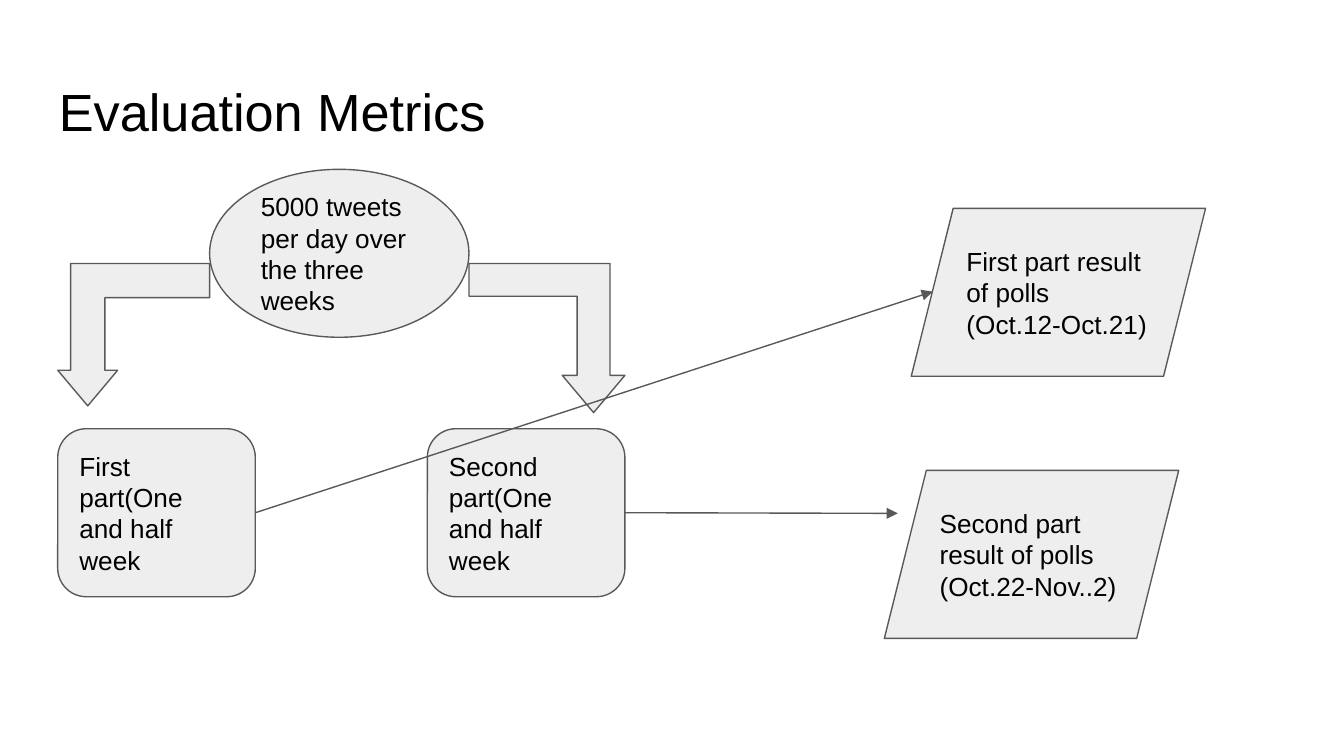
import pptx
import pptx.dml.color
import pptx.enum.shapes
import pptx.enum.text
import pptx.oxml
import pptx.oxml.ns
import pptx.util
from pptx.util import Inches

FILL, OUTLINE, INK = "EEEEEE", "595959", "000000"
SHAPE = pptx.enum.shapes.MSO_SHAPE
ANCHOR = pptx.enum.text.MSO_ANCHOR


def color(value):
    return pptx.dml.color.RGBColor.from_string(value)


def write(holder, wording, size, anchor):
    frame = holder.text_frame
    frame.word_wrap = True
    frame.vertical_anchor = anchor
    frame.margin_left = frame.margin_right = Inches(0.1)
    frame.margin_top = frame.margin_bottom = Inches(0.1)
    frame.text = wording
    paragraph = frame.paragraphs[0]
    paragraph.alignment = pptx.enum.text.PP_ALIGN.LEFT
    font = paragraph.runs[0].font
    font.name = "Arial"
    font.size = pptx.util.Pt(size)
    font.color.rgb = color(INK)


def outline(element):
    element.line.color.rgb = color(OUTLINE)
    element.line.width = pptx.util.Pt(0.75)


def add_node(slide, kind, left, top, width, height, adjustments=(), wording=None):
    node = slide.shapes.add_shape(
        kind, Inches(left), Inches(top), Inches(width), Inches(height))
    node.shadow.inherit = False
    node.fill.solid()
    node.fill.fore_color.rgb = color(FILL)
    outline(node)
    for index, value in enumerate(adjustments):
        node.adjustments[index] = value
    if wording:
        write(node, wording, 14, ANCHOR.MIDDLE)
    return node


def add_split_arrow(slide, left, width, height, thickness, mirrored=False):
    arrow = add_node(slide, SHAPE.BENT_UP_ARROW, left, 1.96, width, height,
                     (thickness, 0.21, 0.25))
    arrow.rotation = 180
    if mirrored:
        arrow._element.spPr.xfrm.set("flipH", "1")


def add_part(slide, left, ordinal):
    part = add_node(slide, SHAPE.ROUNDED_RECTANGLE, left, 3.19, 1.47, 1.25,
                    (0.17,), f"{ordinal} part(One and half week")
    part.text_frame.margin_right = Inches(0.12)
    return part


def add_link(slide, part, end_x, end_y):
    link = slide.shapes.add_connector(
        pptx.enum.shapes.MSO_CONNECTOR.STRAIGHT,
        part.left + part.width, part.top + part.height // 2,
        Inches(end_x), Inches(end_y))
    link.begin_connect(part, 3)
    outline(link)
    head = pptx.oxml.parse_xml(
        f'<a:tailEnd {pptx.oxml.ns.nsdecls("a")} type="triangle"/>')
    link.line._get_or_add_ln().append(head)
    link._element.spPr.append(pptx.oxml.parse_xml(
        f'<a:effectLst {pptx.oxml.ns.nsdecls("a")}/>'))


def main():
    deck = pptx.Presentation()
    deck.slide_width = Inches(10)
    deck.slide_height = deck.slide_width * 9 // 16
    slide = deck.slides.add_slide(deck.slide_layouts[6])

    title = slide.shapes.add_textbox(
        Inches(0.34), Inches(0.49), Inches(9.32), Inches(0.63))
    write(title, "Evaluation Metrics", 28, ANCHOR.TOP)

    add_node(slide, SHAPE.OVAL, 1.56, 1.26, 1.93, 1.25,
             wording="5000 tweets per day over the three weeks")
    add_split_arrow(slide, 0.43, 1.13, 1.06, 0.24)
    add_split_arrow(slide, 3.49, 1.16, 1.11, 0.22, mirrored=True)

    first_part = add_part(slide, 0.43, "First")
    second_part = add_part(slide, 3.18, "Second")

    for left, top, ordinal, dates in (
            (6.78, 1.55, "First", "Oct.12-Oct.21"),
            (6.58, 3.5, "Second", "Oct.22-Nov..2")):
        add_node(slide, SHAPE.PARALLELOGRAM, left, top, 2.19, 1.25, (0.25,),
                 f"{ordinal} part result of polls ({dates})")

    add_link(slide, second_part, 6.68, 3.82)
    add_link(slide, first_part, 6.94, 2.17)
    deck.save("out.pptx")


if __name__ == "__main__":
    main()
